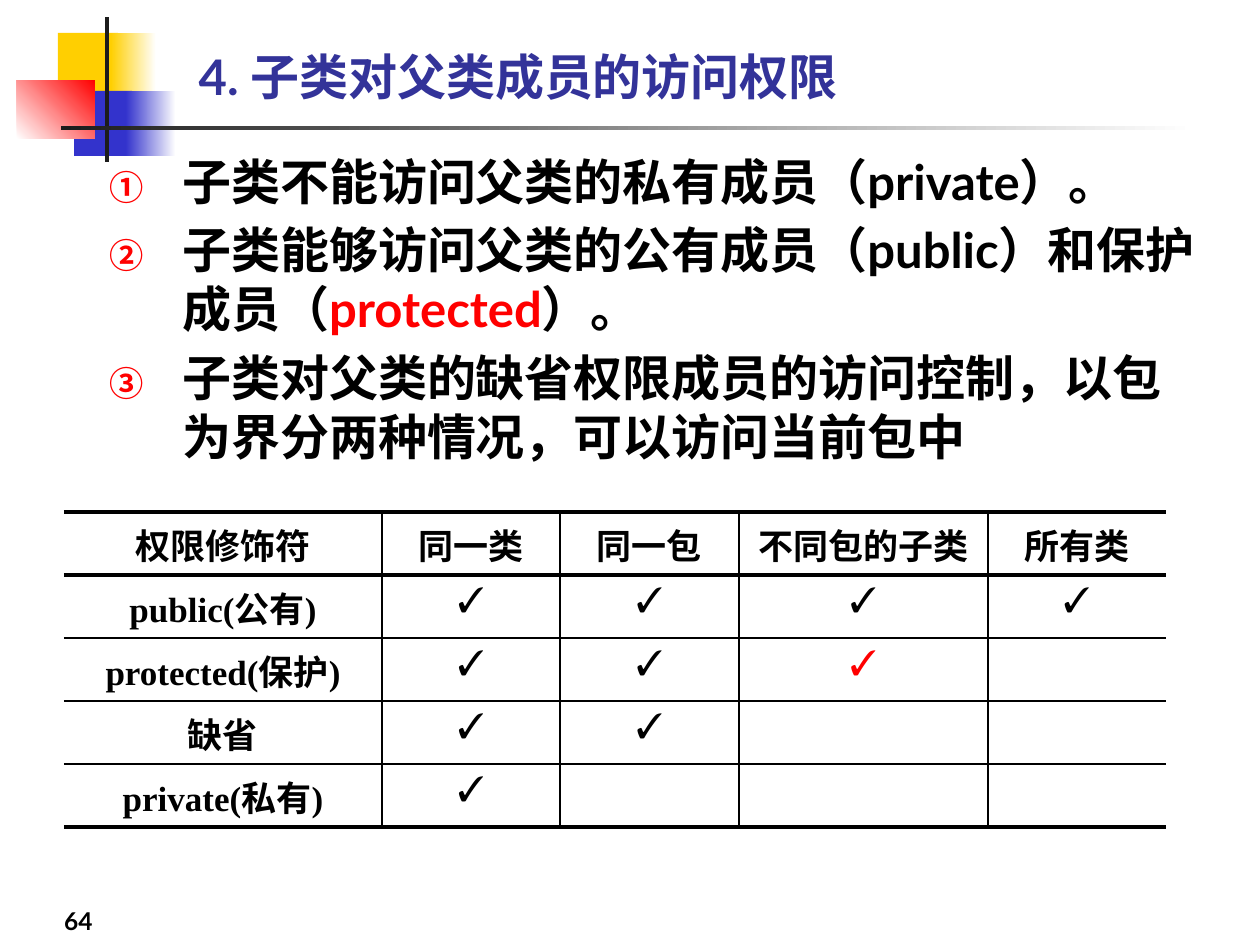
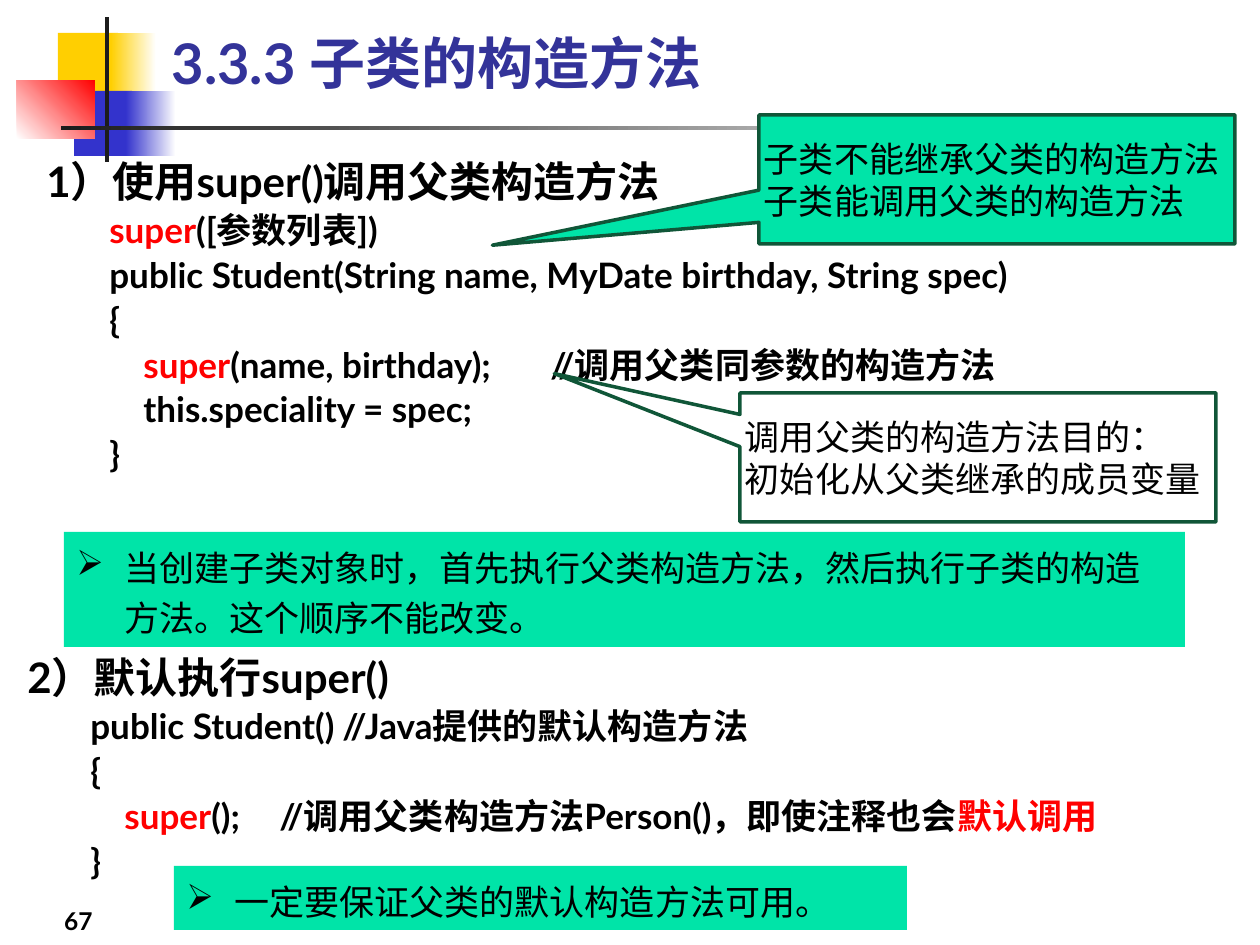
import lxml.etree
import pptx
import pptx.dml.color
import pptx.enum.shapes
import pptx.enum.text
import pptx.oxml.ns
import pptx.util

SLIDE_SIZE = (1260, 945)
LATIN, CJK, SERIF = "Lato", "Noto Sans CJK SC", "Times New Roman"
BLACK, WHITE, RED = "000000", "FFFFFF", "FF0000"
TITLE_BLUE, YELLOW, BLUE, CHARCOAL = "333399", "FFCF01", "3333CC", "1C1C1C"
MINT, DARK_GREEN = "00E4A8", "105638"
CODE_INDENT = 63
RECTANGLE = pptx.enum.shapes.MSO_SHAPE.RECTANGLE
CALLOUT = pptx.enum.shapes.MSO_SHAPE.RECTANGULAR_CALLOUT
ALIGN = pptx.enum.text.PP_ALIGN
ANCHOR = pptx.enum.text.MSO_ANCHOR


def px(length):
    return pptx.util.Emu(round(length * 914400 / 126))


def scaled(box):
    return [px(length) for length in box]


def color(hex_string):
    return pptx.dml.color.RGBColor.from_string(hex_string)


def add_xml(parent, tag, **attributes):
    return lxml.etree.SubElement(parent, pptx.oxml.ns.qn(tag), attributes)


def format_run(run, size, font=LATIN, bold=True, ink=BLACK):
    run.font.name = font
    run.font.size = pptx.util.Pt(size)
    run.font.bold = bold
    run.font.color.rgb = color(ink)
    add_xml(run._r.get_or_add_rPr(), "a:ea", typeface=CJK)


def write_runs(paragraph, text, size, **style):
    """Write text in which every second part between bars is red."""
    for index, part in enumerate(text.split("|")):
        if part:
            run = paragraph.add_run()
            run.text = part
            format_run(run, size, ink=RED if index % 2 else BLACK, **style)


def set_indent(paragraph, left, first=0):
    properties = paragraph._p.get_or_add_pPr()
    properties.set("marL", str(px(left)))
    properties.set("indent", str(px(first)))
    return properties


def add_paragraphs(text_frame, count):
    return [text_frame.paragraphs[0]] + [text_frame.add_paragraph() for _ in range(count - 1)]


def add_text_box(slide, box):
    shape = slide.shapes.add_textbox(*scaled(box))
    shape.text_frame.word_wrap = True
    return shape


def add_block(slide, box, fill, angle=None):
    """Add a plain block; with an angle, fill is a pair of gradient colours."""
    shape = slide.shapes.add_shape(RECTANGLE, *scaled(box))
    shape.shadow.inherit = False
    shape.line.fill.background()
    if angle is None:
        shape.fill.solid()
        shape.fill.fore_color.rgb = color(fill)
    else:
        shape.fill.gradient()
        shape.fill.gradient_angle = angle
        for stop, hex_string, position in zip(shape.fill.gradient_stops, fill, (0, 1)):
            stop.color.rgb = color(hex_string)
            stop.position = position
    return shape


def decorate_layout(layout, slide):
    """Draw the corner squares and rules, then move them to the layout."""
    blocks = [
        ((58, 33, 60, 65), YELLOW, None),
        ((111, 33, 45, 65), (YELLOW, WHITE), 0),
        ((74, 91, 58, 65), BLUE, None),
        ((126, 91, 50, 65), (BLUE, WHITE), 0),
        ((17, 80, 78, 59), (WHITE, RED), 45),
        ((105, 17, 4, 145), CHARCOAL, None),
        ((61, 126, 1134, 4), (CHARCOAL, WHITE), 0),
    ]
    for box, fill, angle in blocks:
        layout.shapes.element.append(add_block(slide, box, fill, angle).element)


def set_title(slide, box, text, size):
    title = slide.shapes.title
    title.left, title.top, title.width, title.height = scaled(box)
    frame = title.text_frame
    frame.text = text
    frame.auto_size = pptx.enum.text.MSO_AUTO_SIZE.NONE
    frame.vertical_anchor = ANCHOR.BOTTOM
    frame.paragraphs[0].alignment = ALIGN.LEFT
    format_run(frame.paragraphs[0].runs[0], size, ink=TITLE_BLUE)


def add_page_number(slide, number):
    frame = add_text_box(slide, (25, 879, 80, 63)).text_frame
    frame.text = str(number)
    frame.vertical_anchor = ANCHOR.BOTTOM
    frame.paragraphs[0].alignment = ALIGN.RIGHT
    format_run(frame.paragraphs[0].runs[0], 14)


def add_numbered_list(slide, box, items, size=28):
    frame = add_text_box(slide, box).text_frame
    for index, (paragraph, item) in enumerate(zip(add_paragraphs(frame, len(items)), items)):
        paragraph.space_before = pptx.util.Pt(0.2 * size if index else 0)
        properties = set_indent(paragraph, 136, -73)
        add_xml(add_xml(properties, "a:buClr"), "a:srgbClr", val=RED)
        add_xml(properties, "a:buSzPct", val="70000")
        add_xml(properties, "a:buAutoNum", type="circleNumDbPlain")
        write_runs(paragraph, item, size)


def set_borders(cell, widths):
    """Draw the left, right, top and bottom borders, 0 for none."""
    properties = cell._tc.get_or_add_tcPr()
    for side, width in zip("LRTB", widths):
        line = add_xml(properties, f"a:ln{side}", w=str(pptx.util.Pt(width)))
        if width:
            add_xml(add_xml(line, "a:solidFill"), "a:srgbClr", val=BLACK)
        else:
            add_xml(line, "a:noFill")


def add_access_table(slide, left, top, column_widths, row_height, rows):
    row_count, column_count = len(rows), len(column_widths)
    box = (left, top, sum(column_widths), row_height * row_count)
    table = slide.shapes.add_table(row_count, column_count, *scaled(box)).table
    table.first_row = table.horz_banding = False
    for column, width in zip(table.columns, column_widths):
        column.width = px(width)
    for row_index, row in enumerate(rows):
        table.rows[row_index].height = px(row_height)
        for column_index, text in enumerate(row):
            cell = table.cell(row_index, column_index)
            set_borders(cell, (
                1 if column_index else 0,
                1 if column_index < column_count - 1 else 0,
                2 if row_index < 2 else 1,
                2 if row_index in (0, row_count - 1) else 1,
            ))
            cell.fill.background()
            paragraph = cell.text_frame.paragraphs[0]
            paragraph.alignment = ALIGN.CENTER
            write_runs(paragraph, text, 20, font=SERIF)


def add_code(slide, box, heading, lines):
    """Add a heading and code lines; each line is text and its comment's tab stop."""
    frame = add_text_box(slide, box).text_frame
    first, *others = add_paragraphs(frame, len(lines) + 1)
    first.line_spacing = 0.9
    write_runs(first, heading, 24)
    for paragraph, (text, tab) in zip(others, lines):
        paragraph.line_spacing = 0.9
        paragraph.space_before = pptx.util.Pt(4)
        properties = set_indent(paragraph, CODE_INDENT)
        if tab:
            add_xml(add_xml(properties, "a:tabLst"), "a:tab", pos=str(px(tab)), algn="l")
        write_runs(paragraph, text, 20)


def add_callout(slide, left, top, tip, lines, fill=None):
    shape = slide.shapes.add_shape(CALLOUT, *scaled((left, top, 476, 129)))
    shape.shadow.inherit = False
    shape.adjustments[0], shape.adjustments[1] = tip
    if fill:
        shape.fill.solid()
        shape.fill.fore_color.rgb = color(fill)
    else:
        shape.fill.background()
    shape.line.color.rgb = color(DARK_GREEN)
    shape.line.width = pptx.util.Pt(2)
    frame = shape.text_frame
    frame.word_wrap = True
    frame.vertical_anchor = ANCHOR.MIDDLE
    frame.margin_left = frame.margin_right = frame.margin_top = frame.margin_bottom = px(5)
    for paragraph, line in zip(add_paragraphs(frame, len(lines)), lines):
        paragraph.alignment = ALIGN.LEFT
        write_runs(paragraph, line, 20, font=CJK, bold=False)


def add_note(slide, box, text):
    shape = add_text_box(slide, box)
    shape.fill.solid()
    shape.fill.fore_color.rgb = color(MINT)
    paragraph = shape.text_frame.paragraphs[0]
    paragraph.line_spacing = 1.2
    add_xml(set_indent(paragraph, 48, -48), "a:buChar", char="➢")
    write_runs(paragraph, text, 20, font=CJK, bold=False)


def build_access_slide(slide):
    add_page_number(slide, 64)
    set_title(slide, (186, 26, 970, 86), "4. 子类对父类成员的访问权限", 28)
    add_numbered_list(slide, (34, 145, 1181, 367), [
        "子类不能访问父类的私有成员（private）。",
        "子类能够访问父类的公有成员（public）和保护成员（|protected|）。",
        "子类对父类的缺省权限成员的访问控制，以包为界分两种情况，可以访问当前包中",
    ])
    add_access_table(slide, 64, 512, (318, 178, 179, 249, 178), 63, [
        ("权限修饰符", "同一类", "同一包", "不同包的子类", "所有类"),
        ("public(公有)", "✓", "✓", "✓", "✓"),
        ("protected(保护)", "✓", "✓", "|✓|", ""),
        ("缺省", "✓", "✓", "", ""),
        ("private(私有)", "✓", "", "", ""),
    ])


def build_constructor_slide(slide):
    add_page_number(slide, 67)
    set_title(slide, (159, 16, 1074, 86), "3.3.3 子类的构造方法", 32)
    add_code(slide, (34, 155, 1169, 397), "1）使用super()调用父类构造方法", [
        ("|super|([参数列表])", None),
        ("public Student(String name, MyDate birthday, String spec)", None),
        ("{", None),
        ("    |super|(name, birthday);\t//调用父类同参数的构造方法", 574),
        ("    this.speciality = spec;", None),
        ("}", None),
    ])
    add_callout(slide, 759, 115, (-1.06, 0.51),
                ["子类不能继承父类的构造方法", "子类能调用父类的构造方法"], MINT)
    add_callout(slide, 740, 393, (-0.89, -0.65),
                ["调用父类的构造方法目的：", "初始化从父类继承的成员变量"])
    add_code(slide, (15, 651, 1235, 246), "2）默认执行super()", [
        ("public Student()\t//Java提供的默认构造方法", 554),
        ("{", None),
        ("    |super|();\t//调用父类构造方法Person()，即使注释也会|默认调用|", 290),
        ("}", None),
    ])
    add_note(slide, (64, 532, 1121, 115),
             "当创建子类对象时，首先执行父类构造方法，然后执行子类的构造方法。这个顺序不能改变。")
    add_note(slide, (174, 866, 733, 64), "一定要保证父类的默认构造方法可用。")


def main():
    presentation = pptx.Presentation()
    presentation.slide_width, presentation.slide_height = scaled(SLIDE_SIZE)
    layout = presentation.slide_layouts[5]
    access_slide = presentation.slides.add_slide(layout)
    decorate_layout(layout, access_slide)
    build_access_slide(access_slide)
    build_constructor_slide(presentation.slides.add_slide(layout))
    presentation.save("out.pptx")


if __name__ == "__main__":
    main()
